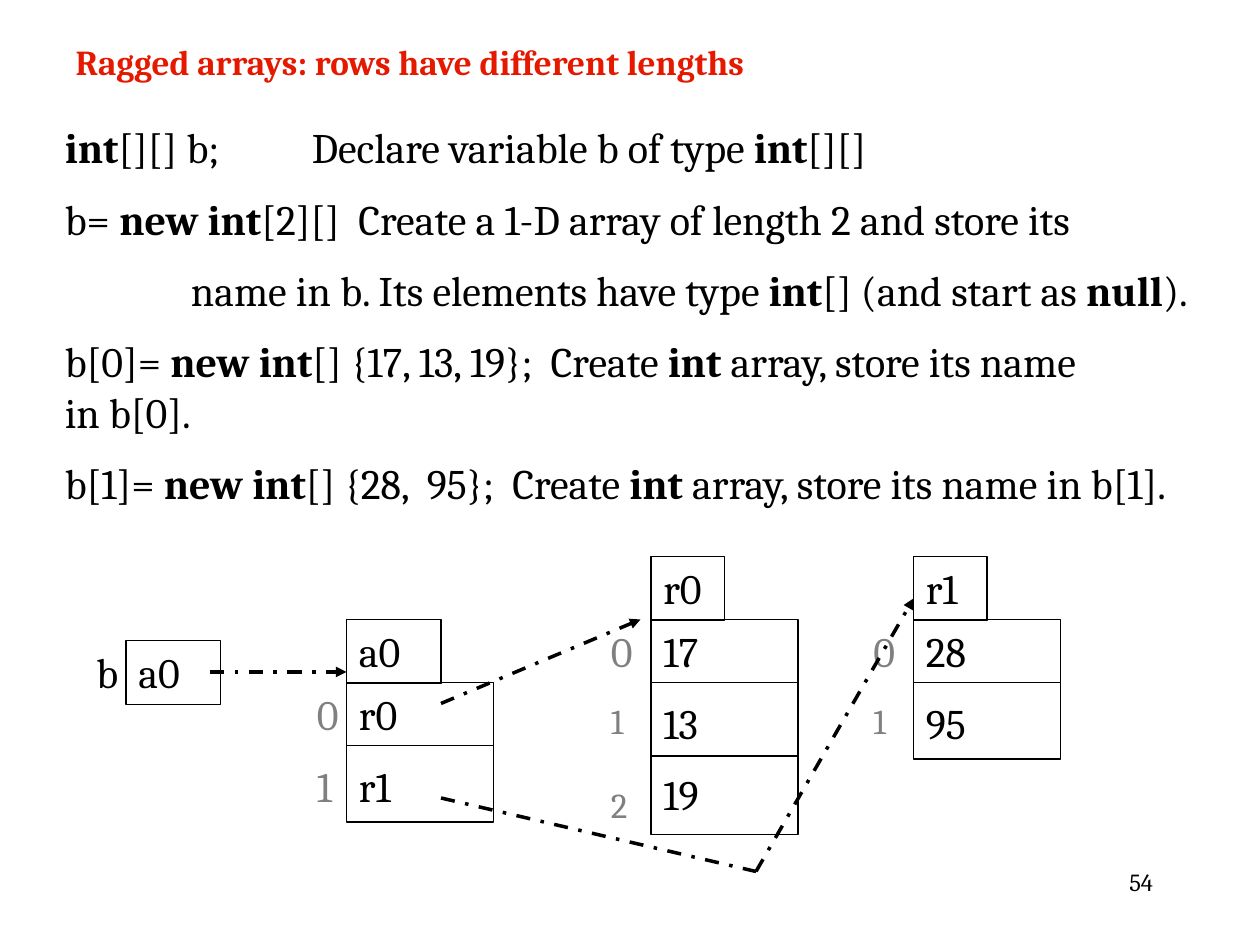
from dataclasses import dataclass

from lxml.etree import SubElement
from pptx import Presentation
from pptx.dml.color import RGBColor
from pptx.enum.dml import MSO_LINE
from pptx.enum.shapes import MSO_CONNECTOR, MSO_SHAPE
from pptx.enum.text import MSO_ANCHOR, MSO_AUTO_SIZE, PP_ALIGN
from pptx.oxml.ns import qn
from pptx.util import Inches, Pt


@dataclass(frozen=True)
class Theme:
    font: str = "Cambria"
    ink: str = "000000"
    accent: str = "E41900"
    index: str = "808080"
    body: int = 24
    small: int = 20
    number: int = 14
    gap: int = 12
    thin: float = 0.75
    thick: float = 2


def u(n):
    """Grid units to length: twelve units to the inch."""
    return Inches(n / 12)


class Board:
    NAME_H = 6.1   # height of a one-line box
    CELL_H = 7.2   # each further line
    CELLS_W = 14

    def __init__(self, slide, theme):
        self.s, self.t = slide, theme

    def set_text(self, sp, lines, size=None, color=None, align=PP_ALIGN.LEFT, tabs=None):
        """Fill a shape; text between ** marks is bold, tabs maps line to stop."""
        tf = sp.text_frame
        tf.word_wrap = True
        tf.auto_size = MSO_AUTO_SIZE.NONE
        tf.vertical_anchor = MSO_ANCHOR.TOP
        for i, line in enumerate(lines):
            p = tf.add_paragraph() if i else tf.paragraphs[0]
            p.alignment = align
            p.space_before = Pt(self.t.gap if i else 0)
            if tabs and i in tabs:
                stops = SubElement(p._p.get_or_add_pPr(), qn("a:tabLst"))
                SubElement(stops, qn("a:tab"), pos=str(Inches(tabs[i])), algn="l")
            p.font.name = self.t.font
            p.font.size = Pt(size or self.t.body)
            p.font.color.rgb = RGBColor.from_string(color or self.t.ink)
            for j, part in enumerate(line.split("**")):
                for k, piece in enumerate(part.split("\n")):
                    if k:
                        p.add_line_break()
                    if piece:
                        r = p.add_run()
                        r.text = piece
                        if j % 2:
                            r.font.bold = True

    def title(self, text, x, y, w, h):
        sp = self.s.shapes.title
        sp.left, sp.top, sp.width, sp.height = map(u, (x, y, w, h))
        self.set_text(sp, [text], self.t.small, self.t.accent)
        p = sp.text_frame.paragraphs[0]
        p.line_spacing = 0.8
        p.font.bold = True

    def text(self, lines, x, y, w, h, **style):
        sp = self.s.shapes.add_textbox(*map(u, (x, y, w, h)))
        self.set_text(sp, lines, **style)

    def box(self, lines, x, y, w):
        h = self.NAME_H + self.CELL_H * (len(lines) - 1)
        sp = self.s.shapes.add_shape(MSO_SHAPE.RECTANGLE, *map(u, (x, y, w, h)))
        sp.shadow.inherit = False
        sp.fill.background()
        sp.line.color.rgb = RGBColor.from_string(self.t.ink)
        sp.line.width = Pt(self.t.thin)
        self.set_text(sp, lines)

    def line(self, start, end, width):
        c = self.s.shapes.add_connector(MSO_CONNECTOR.STRAIGHT, *map(u, start + end))
        c.line.color.rgb = RGBColor.from_string(self.t.ink)
        c.line.width = Pt(width)
        SubElement(c._element.spPr, qn("a:effectLst"))
        return c

    def pointer(self, *points):
        """Dash-dot path through the points, with an arrowhead at the last."""
        for start, end in zip(points, points[1:]):
            c = self.line(start, end, self.t.thick)
            c.line.dash_style = MSO_LINE.DASH_DOT
        SubElement(c._element.spPr.find(qn("a:ln")), qn("a:tailEnd"), type="triangle")

    def array(self, name, values, x, y, name_w):
        self.box([name], x, y, name_w)
        self.box(values, x, y + 6, self.CELLS_W)
        for i in range(len(values) - 1):
            row = y + 12 + 7 * i
            self.line((x, row), (x + self.CELLS_W, row), self.t.thin)

    def index(self, lines, x, y, size=None):
        self.text(lines, x, y, 5, 6 + 7 * (len(lines) - 1), size=size, color=self.t.index)


CODE = [
    "**int**[][] b;\tDeclare variable b of type **int**[][]",
    "b= **new int**[2][]  Create a 1-D array of length 2 and store its",
    "\tname in b. Its elements have type **int**[] (and start as **null**).",
    "b[0]= **new int**[] {17, 13, 19};  Create **int** array, store its name\nin b[0].",
    "b[1]= **new int**[] {28,  95};  Create **int** array, store its name in b[1].",
]


def main():
    prs = Presentation()
    prs.slide_width, prs.slide_height = Inches(10), Inches(7.5)
    theme = Theme()
    board = Board(prs.slides.add_slide(prs.slide_layouts[5]), theme)

    board.title("Ragged arrays: rows have different lengths", 6, 4, 104, 8.5)
    board.text(CODE, 5, 11, 112, 40, tabs={0: 1.96, 2: 1})

    board.text(["b"], 8, 61, 4, 6)
    board.box(["a0"], 12, 61, 9)
    board.array("a0", ["r0", "r1"], 33, 59, 9)
    board.array("r0", ["17", "13", "19"], 62, 53, 7)
    board.array("r1", ["28", "95"], 87, 53, 7)

    board.index(["0", "1"], 29, 65)
    for x, later in ((57, {"1": 66, "2": 74}), (82, {"1": 66})):
        board.index(["0"], x, 59)
        for label, y in later.items():
            board.index([label], x, y, theme.small)

    board.pointer((20, 64), (33, 64))
    board.pointer((42, 67), (61, 59))
    board.pointer((42, 76), (72, 83), (87, 57))

    board.text(["54"], 86, 82, 25, 6, size=theme.number, align=PP_ALIGN.RIGHT)
    prs.save("out.pptx")


if __name__ == "__main__":
    main()
